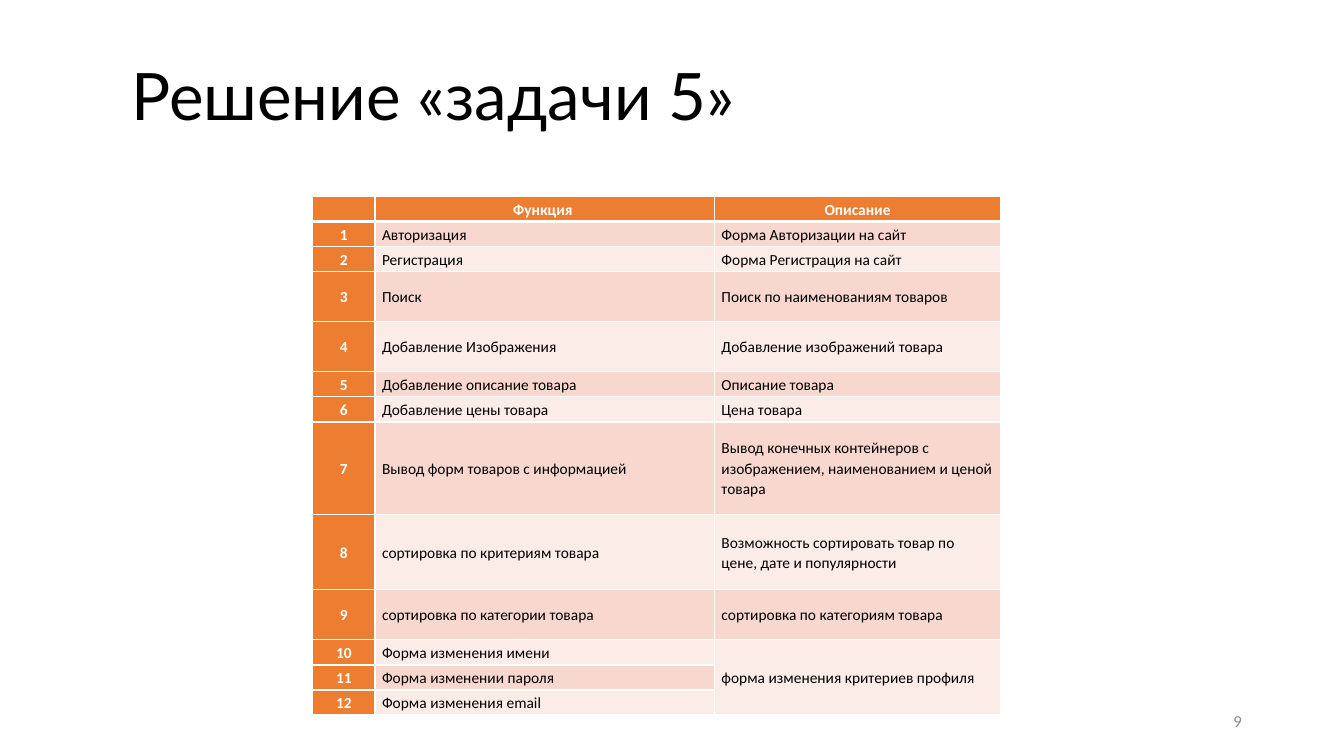
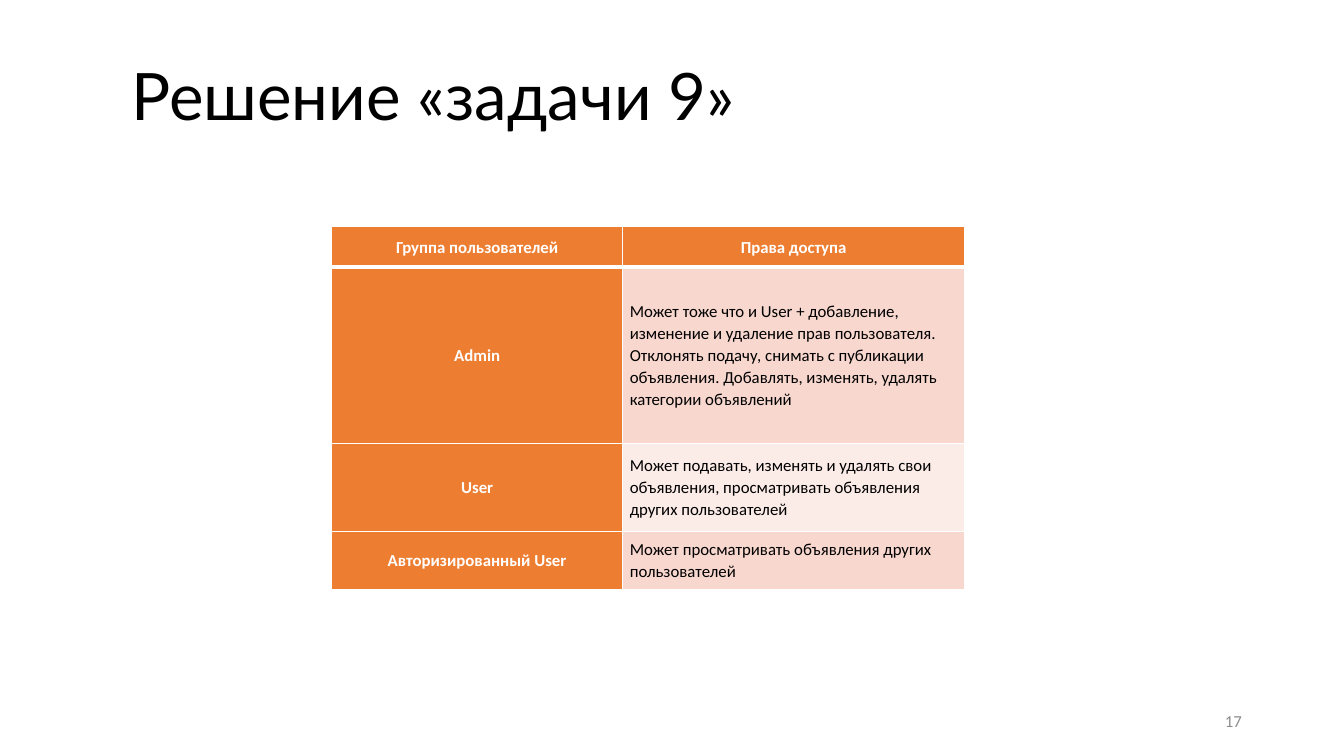
from lxml.etree import SubElement
from pptx import Presentation
from pptx.dml.color import RGBColor
from pptx.enum.text import MSO_ANCHOR as Anchor, PP_ALIGN as Align
from pptx.oxml.ns import qn
from pptx.util import Pt

COLORS = {
    "title": "000000",
    "body": "000000",
    "header": "ED7D31",
    "header_text": "FFFFFF",
    "border": "FFFFFF",
    "band_dark": "F8D7CE",
    "band_light": "FCECE8",
    "page_number": "8C8C8C",
}
TITLE_FONT, BODY_FONT = "Lato", "Calibri"


class Deck:
    def __init__(self):
        self.prs = Presentation()
        self.prs.slide_width, self.prs.slide_height = Pt(960), Pt(540)
        self.slide = None

    def add_slide(self, title, page_number):
        self.slide = self.prs.slides.add_slide(self.prs.slide_layouts[6])
        self.text((87.1, 38.2, 856.8, 65.5), title, TITLE_FONT, 46.7, "title", spacing=0.9)
        self.text((678.2, 500.4, 216, 28.8), page_number, BODY_FONT, 12,
                  "page_number", Align.RIGHT)

    def text(self, box, words, font, size, color, align=Align.LEFT, spacing=1):
        frame = self.slide.shapes.add_textbox(*map(Pt, box)).text_frame
        frame.word_wrap = True
        frame.vertical_anchor = Anchor.MIDDLE
        self.fill_text(frame, words, font, size, color, align, spacing)

    def fill_text(self, frame, words, font, size, color, align, spacing, bold=False):
        frame.text = words
        paragraph = frame.paragraphs[0]
        paragraph.alignment, paragraph.line_spacing = align, spacing
        for run in paragraph.runs:
            run.font.name, run.font.size, run.font.bold = font, Pt(size), bold
            run.font.color.rgb = RGBColor.from_string(COLORS[color])
        if not words:
            # an empty cell would otherwise take the default height of 18 points
            SubElement(paragraph._p, qn("a:endParaRPr"), sz=str(size * 100))

    def table(self, left, top, widths, heights, rows, size):
        """Add a table with a coloured header row and first column."""
        frame = self.slide.shapes.add_table(
            len(rows), len(widths), Pt(left), Pt(top), Pt(sum(widths)), Pt(sum(heights)))
        table = frame.table
        for column, width in zip(table.columns, widths):
            column.width = Pt(width)
        for row, height in zip(table.rows, heights):
            row.height = Pt(height)
        for r, row in enumerate(rows):
            band = "band_dark" if r % 2 else "band_light"
            for c, words in enumerate(row):
                self.cell(table.cell(r, c), words, size, band, r, c)
        return table

    def cell(self, cell, words, size, band, row, column):
        is_header = row == 0 or column == 0
        cell.margin_left = cell.margin_right = Pt(5)
        cell.margin_top = cell.margin_bottom = 0
        cell.vertical_anchor = Anchor.MIDDLE
        self.fill_text(cell.text_frame, words, BODY_FONT, size,
                       "header_text" if is_header else "body",
                       Align.CENTER if is_header else Align.LEFT, 1.07, is_header)
        self.borders(cell, top=3 if row == 1 else 1, bottom=3 if row == 0 else 1)
        cell.fill.solid()
        cell.fill.fore_color.rgb = RGBColor.from_string(
            COLORS["header" if is_header else band])

    def borders(self, cell, top, bottom):
        properties = cell._tc.get_or_add_tcPr()
        for side, width in zip("LRTB", (1, 1, top, bottom)):
            line = SubElement(properties, qn(f"a:ln{side}"), w=str(Pt(width)))
            fill = SubElement(line, qn("a:solidFill"))
            SubElement(fill, qn("a:srgbClr"), val=COLORS["border"])


FUNCTIONS = [
    ("Авторизация", "Форма Авторизации на сайт"),
    ("Регистрация", "Форма Регистрация на сайт"),
    ("Поиск", "Поиск по наименованиям товаров"),
    ("Добавление Изображения", "Добавление изображений товара"),
    ("Добавление описание товара", "Описание товара"),
    ("Добавление цены товара", "Цена товара"),
    ("Вывод форм товаров с информацией",
     "Вывод конечных контейнеров с изображением, наименованием и ценой товара"),
    ("сортировка по критериям товара",
     "Возможность сортировать товар по цене, дате и популярности"),
    ("сортировка по категории товара", "сортировка по категориям товара"),
    ("Форма изменения имени", "форма изменения критериев профиля"),
    ("Форма изменении пароля", ""),
    ("Форма изменения email", ""),
]

ACCESS_RIGHTS = [
    ("Группа пользователей", "Права доступа"),
    ("Admin", "Может тоже что и User + добавление, изменение и удаление прав "
              "пользователя. Отклонять подачу, снимать с публикации объявления. "
              "Добавлять, изменять, удалять категории объявлений"),
    ("User", "Может подавать, изменять и удалять свои объявления, "
             "просматривать объявления других пользователей"),
    ("Авторизированный User", "Может просматривать объявления других пользователей"),
]


def main():
    deck = Deck()

    deck.add_slide("Решение «задачи 5»", "9")
    line = 17.9
    heights = [line * n for n in (1, 1, 1, 2, 2, 1, 1, 3.7, 3, 2, 1, 1, 1)]
    numbered = [(str(n), *pair) for n, pair in enumerate(FUNCTIONS, 1)]
    functions = deck.table(223.4, 140.4, (44.5, 242.5, 204.5), heights,
                           [("", "Функция ", "Описание"), *numbered], 11)
    functions.cell(10, 2).merge(functions.cell(12, 2))

    deck.add_slide("Решение «задачи 9»", "17")
    deck.table(236.9, 162, (208, 244), (28.8, 126, 62.6, 41.8), ACCESS_RIGHTS, 12)

    deck.prs.save("out.pptx")


if __name__ == "__main__":
    main()
